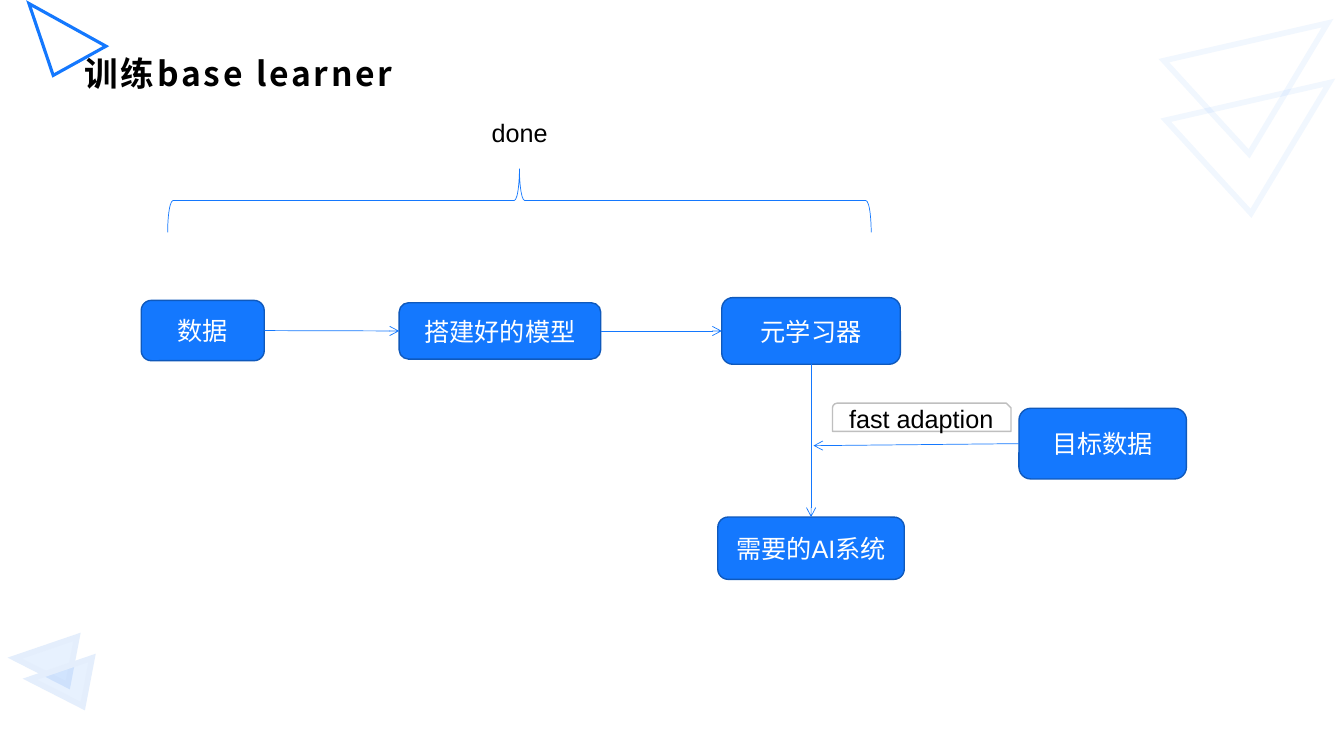
from dataclasses import dataclass

from lxml.etree import SubElement
from pptx import Presentation
from pptx.dml.color import RGBColor
from pptx.enum.shapes import MSO_CONNECTOR as LINE, MSO_SHAPE as SHAPE
from pptx.enum.text import MSO_ANCHOR as ANCHOR, PP_ALIGN as ALIGN
from pptx.oxml.ns import qn
from pptx.util import Cm, Pt


@dataclass(frozen=True)
class Theme:
    blue: str = "1478FE"
    edge: str = "0F59BC"
    pale: str = "E4EEFC"
    grey: str = "BFBFBF"
    white: str = "FFFFFF"
    black: str = "000000"
    latin: str = "Arial"
    cjk: str = "Noto Sans CJK SC"
    title: int = 24
    body: int = 18


T = Theme()
TOP, LEFT, BOTTOM, RIGHT = range(4)


def set_attrs(obj, values):
    for name, value in values.items():
        setattr(obj, name, value)


def paint(fmt, color, alpha=None):
    fmt.solid()
    fmt.fore_color.rgb = RGBColor.from_string(color)
    if alpha:
        clr = fmt._xPr.find(qn("a:solidFill"))[0]
        SubElement(clr, qn("a:alpha"), val=str(alpha * 1000))


def write(sp, text, color, size=T.body, font=T.latin, frame=None, **fmt):
    tf = sp.text_frame
    set_attrs(tf, {"word_wrap": True, "vertical_anchor": ANCHOR.MIDDLE, **(frame or {})})
    p = tf.paragraphs[0]
    p.alignment = fmt.pop("align", ALIGN.CENTER)
    r = p.add_run()
    r.text = text
    set_attrs(r.font, {"size": Pt(size), "name": font, **fmt})
    paint(r.font.fill, color)
    rPr = r._r.get_or_add_rPr()
    SubElement(rPr, qn("a:ea"), typeface=T.cjk)
    return rPr


def add_shape(s, kind, at, line, width, fill=None, fill_alpha=None, line_alpha=None, rot=0):
    sp = s.shapes.add_shape(kind, *map(Cm, at))
    sp.shadow.inherit = False
    sp.rotation = rot
    if fill:
        paint(sp.fill, fill, fill_alpha)
    else:
        sp.fill.background()
    paint(sp.line.fill, line, line_alpha)
    sp.line.width = Pt(width)
    return sp


def add_triangle(s, at, apex, rot, flip=False, **style):
    sp = add_shape(s, SHAPE.ISOSCELES_TRIANGLE, at, rot=rot, **style)
    sp.adjustments[0] = apex
    SubElement(sp.line._get_or_add_ln(), qn("a:miter"), lim="800000")
    if flip:
        sp._element.spPr.find(qn("a:xfrm")).set("flipH", "1")


def add_box(s, text, *at):
    sp = add_shape(s, SHAPE.ROUNDED_RECTANGLE, at, T.edge, 1, T.blue)
    write(sp, text, T.white)
    return sp


def add_text(s, text, at, **fmt):
    sp = s.shapes.add_textbox(*map(Cm, at))
    return write(sp, text, T.black, align=ALIGN.LEFT, **fmt)


def add_arrow(s, start, site, end=None, end_site=None, point=(0, 0)):
    cx = s.shapes.add_connector(LINE.STRAIGHT, 0, 0, *map(Cm, point))
    cx.begin_connect(start, site)
    if end:
        cx.end_connect(end, end_site)
    paint(cx.line.fill, T.blue)
    cx.line.width = Pt(0.5)
    SubElement(cx.line._get_or_add_ln(), qn("a:tailEnd"), type="arrow")
    SubElement(cx._element.spPr, qn("a:effectLst"))


def add_decor(s):
    add_triangle(s, (0.79, -0.23, 1.52, 1.88), 0.774, 331, True, line=T.blue, width=2.25)
    for x, y in ((0.56, 15.8), (0.94, 16.33)):
        add_triangle(s, (x, y, 1.5, 1.19), 0.77, 27, line=T.pale, width=4,
                     fill=T.blue, fill_alpha=10)
    for x, y in ((29.29, 1.42), (29.24, -0.08)):
        add_triangle(s, (x, y, 3.84, 3.05), 0.236, 301, line=T.blue, width=4, line_alpha=5)


def add_flow(s):
    data = add_box(s, "数据", 3.56, 7.57, 3.1, 1.52)
    model = add_box(s, "搭建好的模型", 10.06, 7.63, 5.08, 1.42)
    learner = add_box(s, "元学习器", 18.19, 7.5, 4.5, 1.68)
    system = add_box(s, "需要的AI系统", 18.09, 13.03, 4.7, 1.57)
    target = add_box(s, "目标数据", 25.68, 10.29, 4.22, 1.78)
    add_arrow(s, data, RIGHT, model, LEFT)
    add_arrow(s, model, RIGHT, learner, LEFT)
    add_arrow(s, learner, BOTTOM, system, TOP)
    add_arrow(s, target, LEFT, point=(20.5, 11.23))


def add_labels(s):
    tag = add_shape(s, SHAPE.SNIP_ROUND_RECTANGLE, (20.98, 10.16, 4.5, 0.71), T.grey, 1, T.white)
    write(tag, "fast adaption", T.black)
    add_shape(s, SHAPE.LEFT_BRACE, (12.29, -3.81, 1.6, 17.73), T.blue, 0.5, rot=90)
    add_text(s, "done", (12.14, 2.84, 1.93, 1.02), frame={"word_wrap": False})


def main():
    prs = Presentation()
    set_attrs(prs, {"slide_width": Cm(33.87), "slide_height": Cm(19.05)})
    s = prs.slides.add_slide(prs.slide_layouts[6])
    add_decor(s)
    insets = {"margin_left": Cm(0.28), "margin_right": Cm(0.2),
              "margin_top": Cm(0.1), "margin_bottom": Cm(0.1)}
    title = add_text(s, "训练base learner", (1.85, 1.22, 30.15, 1.22),
                     size=T.title, font=T.cjk, frame=insets, bold=True)
    title.set("spc", "200")
    add_flow(s)
    add_labels(s)
    prs.save("out.pptx")


if __name__ == "__main__":
    main()
